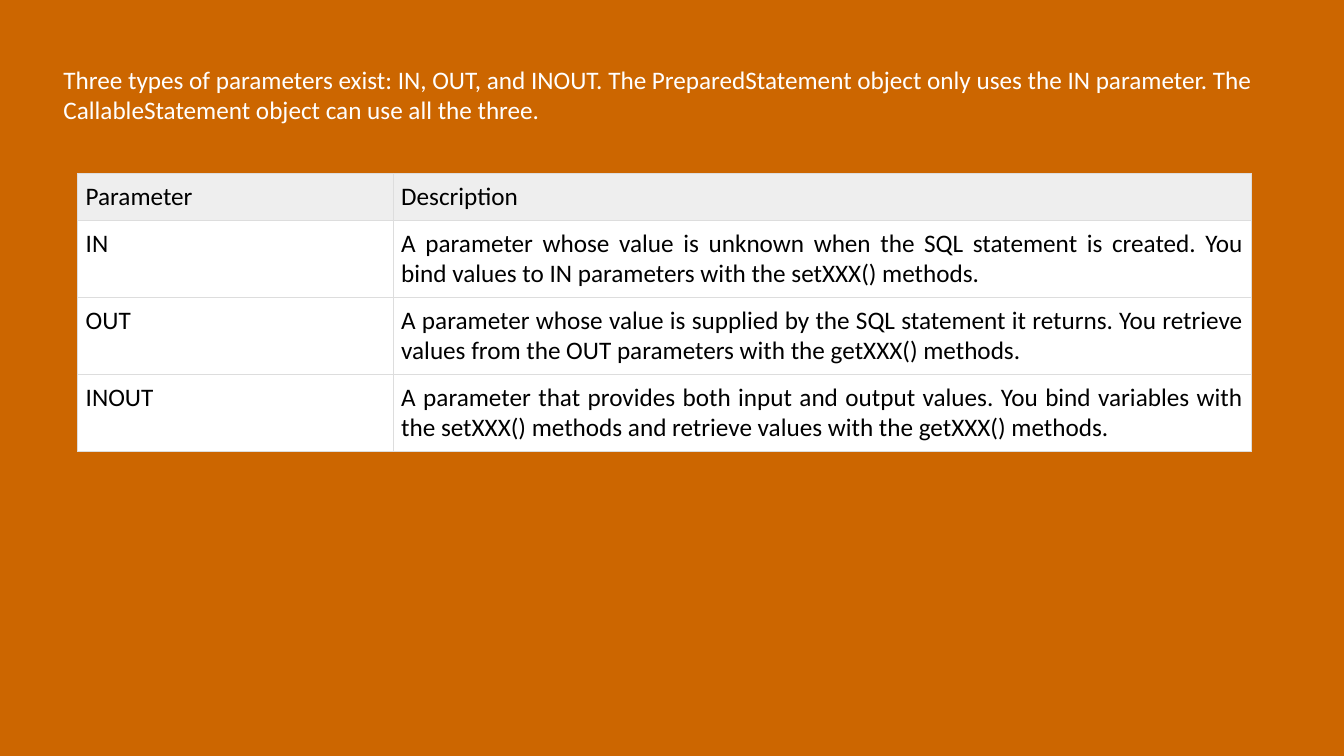
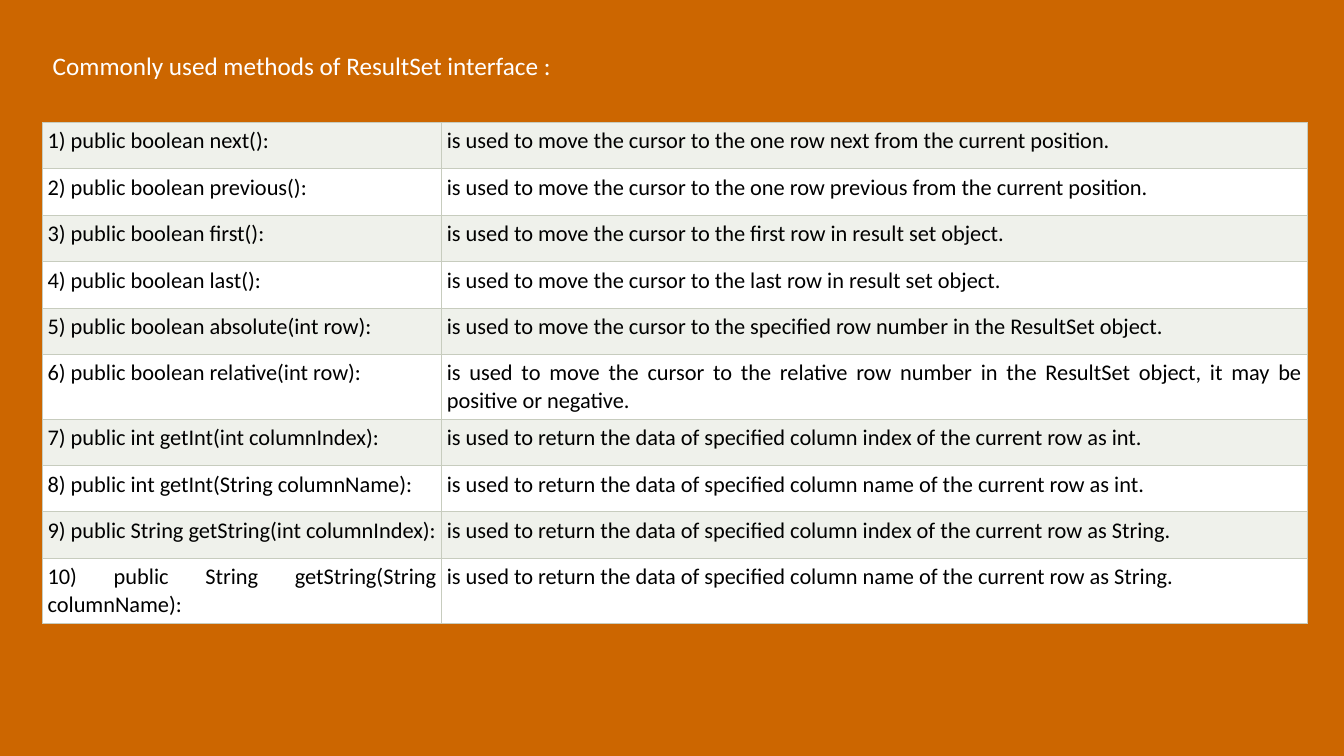
from lxml import etree
from pptx import Presentation
from pptx.dml.color import RGBColor
from pptx.enum.text import MSO_ANCHOR, MSO_AUTO_SIZE, PP_ALIGN
from pptx.oxml.ns import qn
from pptx.util import Cm, Pt

# Content
PARAMETERS = [
    ("Parameter", "Description"),
    ("IN", "A parameter whose value is unknown when the SQL statement is created. "
           "You bind values to IN parameters with the setXXX() methods."),
    ("OUT", "A parameter whose value is supplied by the SQL statement it returns. "
            "You retrieve values from the OUT parameters with the getXXX() methods."),
    ("INOUT", "A parameter that provides both input and output values. You bind variables "
              "with the setXXX() methods and retrieve values with the getXXX() methods."),
]
MOVE = "is used to move the cursor to the "
RETURN = "is used to return the data of specified column "
METHODS = [
    ("boolean next()", MOVE + "one row next from the current position."),
    ("boolean previous()", MOVE + "one row previous from the current position."),
    ("boolean first()", MOVE + "first row in result set object."),
    ("boolean last()", MOVE + "last row in result set object."),
    ("boolean absolute(int row)", MOVE + "specified row number in the ResultSet object."),
    ("boolean relative(int row)", MOVE + "relative row number in the ResultSet object, "
                                         "it may be positive or negative."),
    ("int getInt(int columnIndex)", RETURN + "index of the current row as int."),
    ("int getInt(String columnName)", RETURN + "name of the current row as int."),
    ("String getString(int columnIndex)", RETURN + "index of the current row as String."),
    ("String getString(String columnName)", RETURN + "name of the current row as String."),
]
METHOD_ROWS = [(f"{n}) public {name}:", use) for n, (name, use) in enumerate(METHODS, 1)]

# Lengths in cm
SLIDES = [
    dict(intro="Three types of parameters exist: IN, OUT, and INOUT. The PreparedStatement "
               "object only uses the IN parameter. The CallableStatement object can use all "
               "the three.",
         intro_box=(1.35, 1.5, 31.06, 1.8), wrap=True, align=PP_ALIGN.LEFT,
         rows=PARAMETERS, at=(1.96, 4.37), widths=(7.95, 21.62),
         heights=[1.18] + [1.94] * 3, fills=["EEEEEE"] + ["FFFFFF"] * 3,
         border="DDDDDD", inset=0.2, size=18),
    dict(intro="Commonly used methods of ResultSet interface :",
         intro_box=(1.08, 1.14, 13.2, 1.02), wrap=False, align=PP_ALIGN.JUSTIFY,
         rows=METHOD_ROWS, at=(1.07, 3.08), widths=(10.06, 21.82),
         heights=[1.63 if n in (6, 10) else 1.17 for n in range(1, 11)],
         fills=["EFF1EB", "FFFFFF"] * 5, border="C7CCBE", inset=0.13, size=16),
]


def paint(fill, color):
    fill.solid()
    fill.fore_color.rgb = RGBColor.from_string(color)


def write(tf, text, size=18, color="FFFFFF", align=PP_ALIGN.LEFT):
    p = tf.paragraphs[0]
    p.alignment = align
    r = p.add_run()
    r.text = text
    r.font.name, r.font.size = "Calibri", Pt(size)
    r.font.color.rgb = RGBColor.from_string(color)


def add_borders(cell, color, width=0.75):
    tc_pr = cell._tc.get_or_add_tcPr()
    for side in ("lnL", "lnR", "lnT", "lnB"):
        ln = etree.SubElement(tc_pr, qn(f"a:{side}"), w=str(Pt(width)))
        solid = etree.SubElement(ln, qn("a:solidFill"))
        etree.SubElement(solid, qn("a:srgbClr"), val=color)


def add_intro(s, text, box, wrap, align):
    tf = s.shapes.add_textbox(*map(Cm, box)).text_frame
    tf.word_wrap = wrap
    tf.auto_size = MSO_AUTO_SIZE.SHAPE_TO_FIT_TEXT
    write(tf, text, align=align)


def add_grid(s, rows, at, widths, heights, fills, border, inset, size):
    frame = s.shapes.add_table(len(rows), len(widths), *map(Cm, at),
                               Cm(sum(widths)), Cm(sum(heights)))
    table = frame.table
    table.first_row = table.horz_banding = False
    for column, width in zip(table.columns, widths):
        column.width = Cm(width)
    for row, texts, height, fill in zip(table.rows, rows, heights, fills):
        row.height = Cm(height)
        for cell, text in zip(row.cells, texts):
            add_borders(cell, border)
            paint(cell.fill, fill)
            cell.margin_left = cell.margin_right = Cm(inset)
            cell.margin_top = cell.margin_bottom = Cm(inset)
            cell.vertical_anchor = MSO_ANCHOR.TOP
            write(cell.text_frame, text, size=size, color="000000",
                  align=PP_ALIGN.JUSTIFY)


# Shared background and slides
prs = Presentation()
prs.slide_width, prs.slide_height = Cm(33.87), Cm(19.05)
paint(prs.slide_master.background.fill, "CC6600")

for d in SLIDES:
    s = prs.slides.add_slide(prs.slide_layouts[6])
    add_intro(s, d["intro"], d["intro_box"], d["wrap"], d["align"])
    add_grid(s, d["rows"], d["at"], d["widths"], d["heights"], d["fills"],
             d["border"], d["inset"], d["size"])

prs.save("out.pptx")
